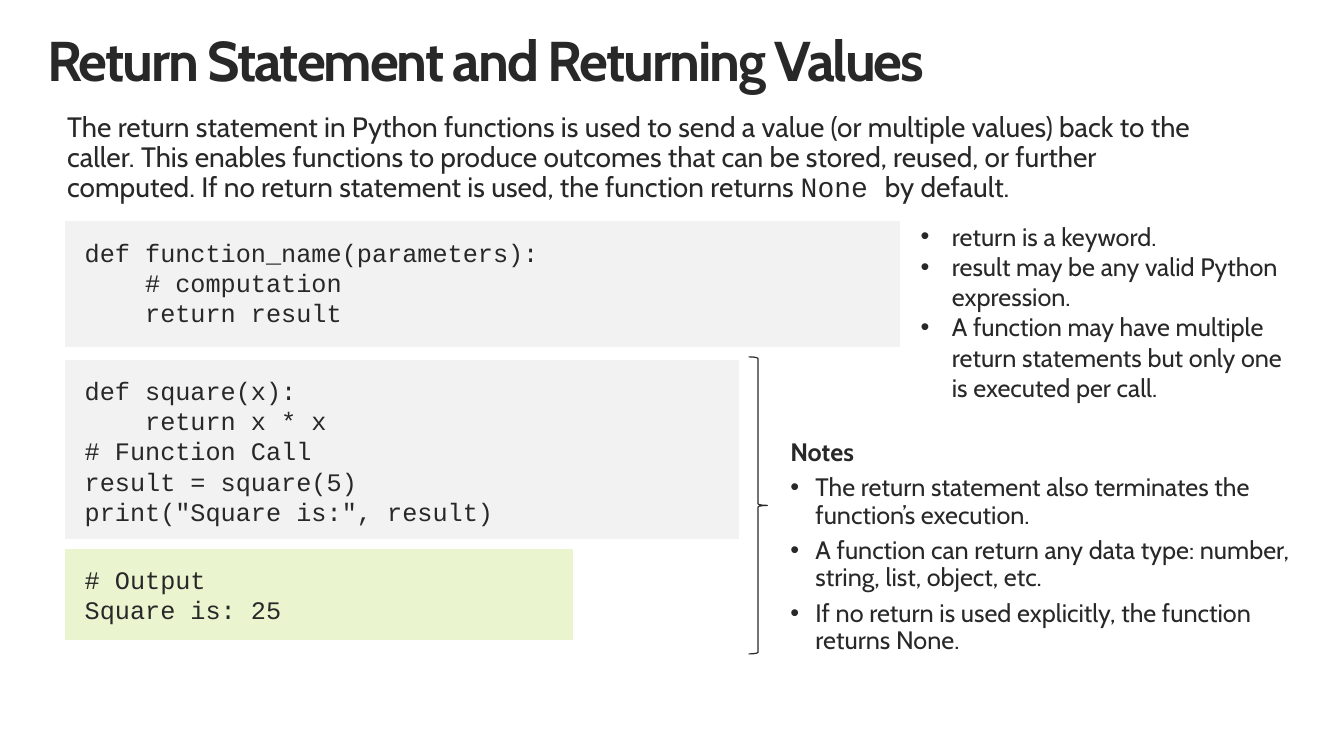
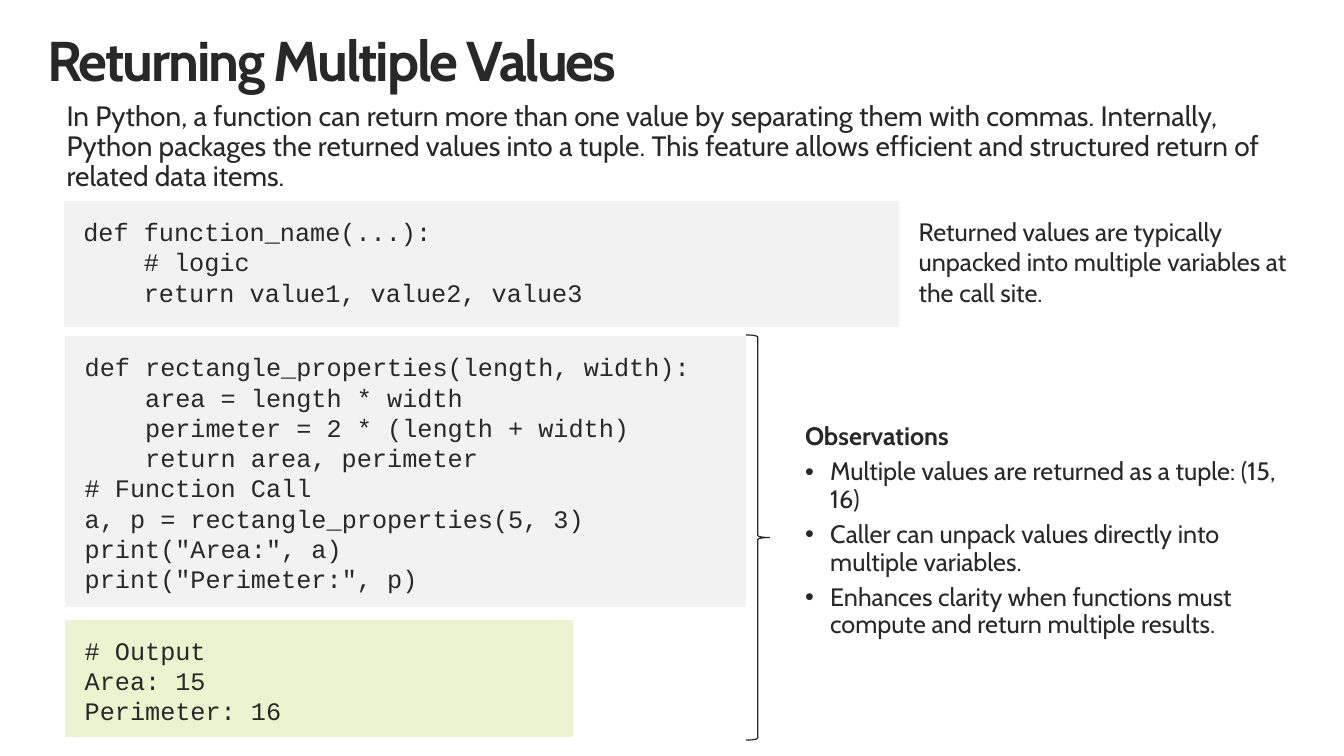
from dataclasses import dataclass

from lxml import etree
from pptx import Presentation
from pptx import util as u
from pptx.dml.color import RGBColor
from pptx.enum import shapes, text
from pptx.oxml.ns import qn


@dataclass(frozen=True)
class Theme:
    ink: str = "282828"
    paper: str = "FFFFFF"
    code_fill: str = "F2F2F2"
    output_fill: str = "EAF5D0"
    body_font: str = "Cabin"
    code_font: str = "Courier New"
    title_size: float = 40
    intro_size: float = 20
    body_size: float = 18
    title_tracking: float = -1.5
    tight: float = 0.9
    para_gap: float = 6
    box_line: float = 0.75
    brace_line: float = 0.85


@dataclass(frozen=True)
class Box:
    """A region on a grid of 100 columns by 100 rows."""
    x: float
    y: float
    w: float
    h: float

    def place(self):
        return (int(self.x * COL), int(self.y * ROW),
                int(self.w * COL), int(self.h * ROW))


T = Theme()
WIDTH, HEIGHT = u.Inches(13.33), u.Inches(7.5)
COL, ROW = WIDTH / 100, HEIGHT / 100
INSETS = (0.2, 0.16, 0.2, 0.16)
CODE_LEFT = 4.8
CODE_INDENT = 0.6  # four monospaced characters, in inches
TITLE_BOX = Box(3.5, 2, 92.95, 10.8)


def rgb(value):
    return RGBColor.from_string(value)


def prepare_frame(tf, insets=INSETS):
    tf.word_wrap = True
    tf.auto_size = text.MSO_AUTO_SIZE.NONE
    tf.vertical_anchor = text.MSO_ANCHOR.TOP
    (tf.margin_left, tf.margin_top,
     tf.margin_right, tf.margin_bottom) = map(u.Inches, insets)


def add_run(p, words, size=T.body_size, font=T.body_font, bold=False):
    r = p.add_run()
    r.text = words
    r.font.size = u.Pt(size)
    r.font.name = font
    r.font.bold = bold
    r.font.color.rgb = rgb(T.ink)
    return r


def paragraphs(tf, items):
    """Yield one paragraph for each item, starting with the frame's first."""
    for i, item in enumerate(items):
        p = tf.add_paragraph() if i else tf.paragraphs[0]
        p.alignment = text.PP_ALIGN.LEFT
        yield p, item


def space(p):
    p.line_spacing = T.tight
    p.space_after = u.Pt(T.para_gap)


def indent(p, left, hanging=0):
    pPr = p._p.get_or_add_pPr()
    pPr.set("marL", str(u.Inches(left)))
    pPr.set("indent", str(-u.Inches(hanging)))
    return pPr


def bullet(p, width):
    pPr = indent(p, width, width)
    etree.SubElement(pPr, qn("a:buFont")).set("typeface", "Arial")
    etree.SubElement(pPr, qn("a:buChar")).set("char", "•")


def text_box(s, box):
    tf = s.shapes.add_textbox(*box.place()).text_frame
    prepare_frame(tf)
    return tf


def outlined_shape(s, kind, box, fill, line, width):
    sp = s.shapes.add_shape(kind, *box.place())
    sp.shadow.inherit = False
    sp.fill.solid()
    sp.fill.fore_color.rgb = rgb(fill)
    sp.line.color.rgb = rgb(line)
    sp.line.width = u.Pt(width)
    return sp


def title(s, words):
    sp = s.shapes.title
    sp.left, sp.top, sp.width, sp.height = TITLE_BOX.place()
    prepare_frame(sp.text_frame, (0, 0.18, 0, 0))
    p = sp.text_frame.paragraphs[0]
    p.alignment = text.PP_ALIGN.LEFT
    p.line_spacing = T.tight
    r = add_run(p, words, T.title_size, bold=True)
    r._r.get_or_add_rPr().set("spc", str(int(T.title_tracking * 100)))


def intro(s, box, runs):
    """Place the lead paragraph; runs are (words, font) pairs."""
    p = text_box(s, box).paragraphs[0]
    space(p)
    for words, font in runs:
        add_run(p, words, T.intro_size, font)


def code_block(s, box, lines, fill=T.code_fill):
    """Place a code panel; a leading tab in a line is one indent level."""
    sp = outlined_shape(s, shapes.MSO_SHAPE.RECTANGLE, box, fill,
                        T.paper, T.box_line)
    prepare_frame(sp.text_frame)
    for p, line in paragraphs(sp.text_frame, lines):
        code = line.lstrip("\t")
        indent(p, CODE_INDENT * (len(line) - len(code)))
        add_run(p, code, font=T.code_font)


def remarks(s, box, items, bulleted):
    for p, item in paragraphs(text_box(s, box), items):
        if bulleted:
            bullet(p, 0.31)
        add_run(p, item)


def notes_panel(s, box, heading, items):
    for i, (p, item) in enumerate(paragraphs(text_box(s, box), [heading, *items])):
        space(p)
        if i:
            bullet(p, 0.25)
        add_run(p, item, bold=not i)


def brace(s, box):
    outlined_shape(s, shapes.MSO_SHAPE.RIGHT_BRACE, box, T.paper,
                   T.ink, T.brace_line)


def lesson_slide(prs, c):
    s = prs.slides.add_slide(prs.slide_layouts[5])
    title(s, c["title"])
    intro(s, *c["intro"])
    code_block(s, *c["syntax"])
    code_block(s, *c["example"])
    code_block(s, *c["output"], fill=T.output_fill)
    remarks(s, *c["remarks"])
    brace(s, c["brace"])
    notes_panel(s, *c["notes"])


LESSONS = [
    {
        "title": "Return Statement and Returning Values",
        "intro": (Box(3.5, 12.8, 88.05, 16.4), [
            ("The return statement in Python functions is used to send a value "
             "(or multiple values) back to the caller. This enables functions to "
             "produce outcomes that can be stored, reused, or further computed. "
             "If no return statement is used, the function returns ", T.body_font),
            ("None ", T.code_font),
            ("by default.", T.body_font)]),
        "syntax": (Box(CODE_LEFT, 29.2, 62.2, 16.8), [
            "def function_name(parameters):",
            "\t# computation",
            "\treturn result"]),
        "example": (Box(CODE_LEFT, 47.5, 50.25, 23.9), [
            "def square(x):",
            "\treturn x * x",
            "# Function Call",
            "result = square(5)",
            'print("Square is:", result)']),
        "output": (Box(CODE_LEFT, 72.5, 37.9, 12.2), [
            "# Output",
            "Square is: 25"]),
        "remarks": (Box(67, 27.1, 31.05, 32.1), [
            "return is a keyword.",
            "result may be any valid Python expression.",
            "A function may have multiple return statements but only one is "
            "executed per call."], True),
        "brace": Box(55.7, 47.2, 1.4, 39.3),
        "notes": (Box(57.3, 56, 40.8, 33.1), "Notes", [
            "The return statement also terminates the function’s execution.",
            "A function can return any data type: number, string, list, object, etc.",
            "If no return is used explicitly, the function returns None."]),
    },
    {
        "title": "Returning Multiple Values",
        "intro": (Box(3.45, 11.4, 92.95, 16.4), [
            ("In Python, a function can return more than one value by separating "
             "them with commas. Internally, Python packages the returned values "
             "into a tuple. This feature allows efficient and structured return "
             "of related data items.", T.body_font)]),
        "syntax": (Box(4.7, 26.5, 62.2, 16.8), [
            "def function_name(...):",
            "\t# logic",
            "\treturn value1, value2, value3"]),
        "example": (Box(CODE_LEFT, 44.4, 50.8, 36), [
            "def rectangle_properties(length, width):",
            "\tarea = length * width",
            "\tperimeter = 2 * (length + width)",
            "\treturn area, perimeter",
            "# Function Call",
            "a, p = rectangle_properties(5, 3)",
            'print("Area:", a)',
            'print("Perimeter:", p)']),
        "output": (Box(CODE_LEFT, 81.9, 37.9, 15.7), [
            "# Output",
            "Area: 15",
            "Perimeter: 16"]),
        "remarks": (Box(66.85, 26.5, 31.05, 16.4), [
            "Returned values are typically unpacked into multiple variables at "
            "the call site."], False),
        "brace": Box(55.5, 44.3, 1.75, 53.6),
        "notes": (Box(58.4, 53.9, 39.5, 33.1), "Observations", [
            "Multiple values are returned as a tuple: (15, 16)",
            "Caller can unpack values directly into multiple variables.",
            "Enhances clarity when functions must compute and return multiple "
            "results."]),
    },
]


def main():
    prs = Presentation()
    prs.slide_width, prs.slide_height = WIDTH, HEIGHT
    for lesson in LESSONS:
        lesson_slide(prs, lesson)
    prs.save("out.pptx")


if __name__ == "__main__":
    main()
